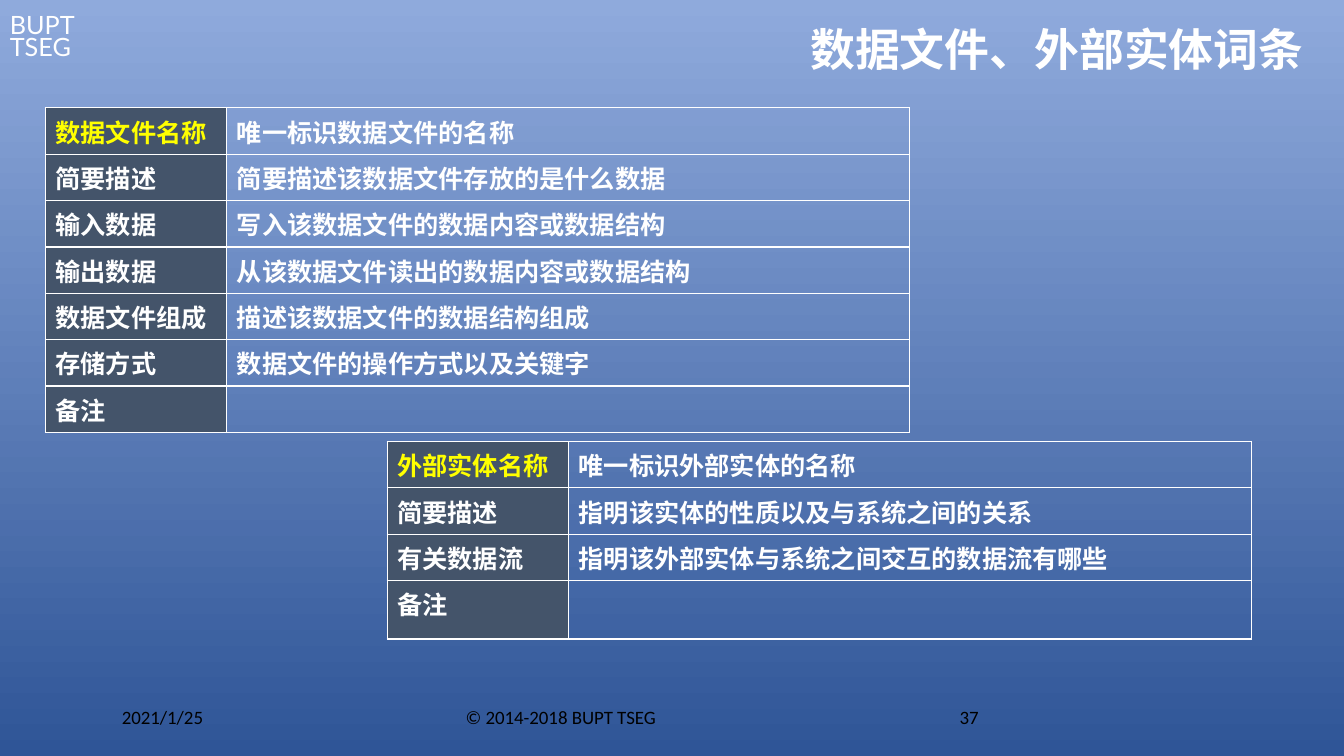
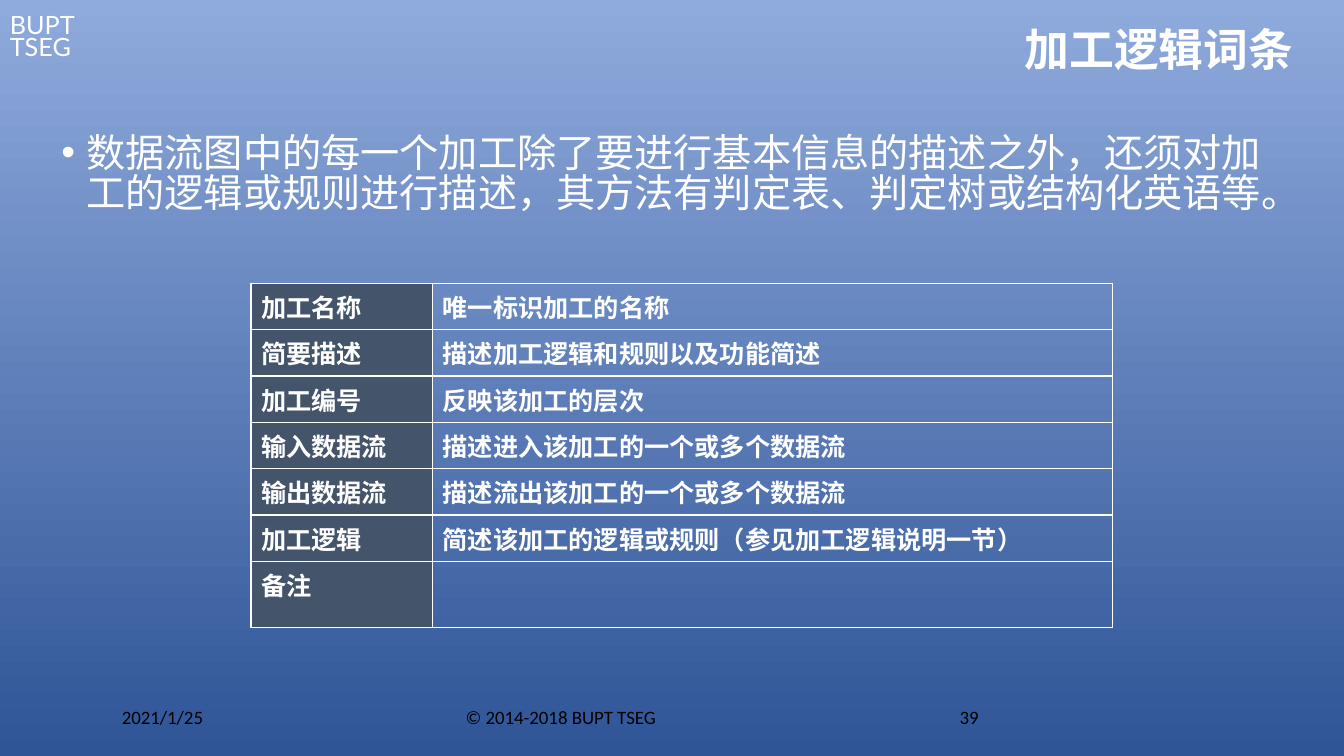
import dataclasses

import lxml.etree
import pptx
import pptx.dml.color
import pptx.enum.text
import pptx.oxml.ns
import pptx.util

Inches = pptx.util.Inches
ALIGN = pptx.enum.text.PP_ALIGN
ANCHOR = pptx.enum.text.MSO_ANCHOR


@dataclasses.dataclass(frozen=True)
class Theme:
    background_top: str = "8FAADC"
    background_bottom: str = "2F5597"
    label_fill: str = "44546A"
    light: str = "FFFFFF"
    highlight: str = "FFFF00"
    dark: str = "000000"
    text_font: str = "Noto Sans CJK SC"
    brand_font: str = "Lato"
    footer_font: str = "Calibri"
    title_size: float = 32
    body_size: float = 28
    table_size: float = 18
    brand_size: float = 18
    footer_size: float = 13.5
    border_width: float = 1
    row_height: float = 0.46


THEME = Theme()

FILE_ROWS = [
    ("数据文件名称", "唯一标识数据文件的名称"),
    ("简要描述", "简要描述该数据文件存放的是什么数据"),
    ("输入数据", "写入该数据文件的数据内容或数据结构"),
    ("输出数据", "从该数据文件读出的数据内容或数据结构"),
    ("数据文件组成", "描述该数据文件的数据结构组成"),
    ("存储方式", "数据文件的操作方式以及关键字"),
    ("备注", ""),
]
ENTITY_ROWS = [
    ("外部实体名称", "唯一标识外部实体的名称"),
    ("简要描述", "指明该实体的性质以及与系统之间的关系"),
    ("有关数据流", "指明该外部实体与系统之间交互的数据流有哪些"),
    ("备注", ""),
]
PROCESS_ROWS = [
    ("加工名称", "唯一标识加工的名称"),
    ("简要描述", "描述加工逻辑和规则以及功能简述"),
    ("加工编号", "反映该加工的层次"),
    ("输入数据流", "描述进入该加工的一个或多个数据流"),
    ("输出数据流", "描述流出该加工的一个或多个数据流"),
    ("加工逻辑", "简述该加工的逻辑或规则（参见加工逻辑说明一节）"),
    ("备注", ""),
]
BODY_TEXT = (
    "数据流图中的每一个加工除了要进行基本信息的描述之外，还须对加工的逻辑或规则进行描述，"
    "其方法有判定表、判定树或结构化英语等。"
)


def rgb(color):
    return pptx.dml.color.RGBColor.from_string(color)


def add_element(parent, tag, **attributes):
    element = lxml.etree.SubElement(parent, pptx.oxml.ns.qn(tag))
    for name, value in attributes.items():
        element.set(name, str(value))
    return element


def write_text(text_frame, text, *, size, font=THEME.text_font, color=THEME.light,
               bold=False, align=ALIGN.LEFT, line_spacing=None, bullet_indent=None):
    paragraph = text_frame.paragraphs[0]
    paragraph.alignment = align
    if line_spacing:
        paragraph.line_spacing = line_spacing
    if bullet_indent:
        properties = paragraph._p.get_or_add_pPr()
        properties.set("marL", str(Inches(bullet_indent)))
        properties.set("indent", str(-Inches(bullet_indent)))
        add_element(properties, "a:buFont", typeface="Arial")
        add_element(properties, "a:buChar", char="•")
    run = paragraph.add_run()
    run.text = text
    run.font.size = pptx.util.Pt(size)
    run.font.bold = bold
    run.font.color.rgb = rgb(color)
    run.font.name = font
    add_element(run._r.get_or_add_rPr(), "a:ea", typeface=font)


def add_text(slide, left, top, width, height, text, *, anchor=ANCHOR.TOP, **text_format):
    text_frame = slide.shapes.add_textbox(
        Inches(left), Inches(top), Inches(width), Inches(height)).text_frame
    text_frame.word_wrap = True
    text_frame.vertical_anchor = anchor
    write_text(text_frame, text, **text_format)


def draw_borders(cell):
    properties = cell._tc.get_or_add_tcPr()
    for side in ("a:lnL", "a:lnR", "a:lnT", "a:lnB"):
        line = add_element(properties, side, w=pptx.util.Pt(THEME.border_width))
        add_element(add_element(line, "a:solidFill"), "a:srgbClr", val=THEME.light)


def add_entry_table(slide, left, top, column_widths, rows, *,
                    last_height=THEME.row_height, name_color=THEME.light):
    heights = [THEME.row_height] * (len(rows) - 1) + [last_height]
    table = slide.shapes.add_table(
        len(rows), len(column_widths), Inches(left), Inches(top),
        Inches(sum(column_widths)), Inches(sum(heights))).table
    table.first_row = False
    table.horz_banding = False
    for column, width in zip(table.columns, column_widths):
        column.width = Inches(width)
    for row_index, (row, height, texts) in enumerate(zip(table.rows, heights, rows)):
        row.height = Inches(height)
        for column_index, (cell, text) in enumerate(zip(row.cells, texts)):
            is_label = column_index == 0
            draw_borders(cell)
            if is_label:
                cell.fill.solid()
                cell.fill.fore_color.rgb = rgb(THEME.label_fill)
            else:
                cell.fill.background()
            if text:
                color = name_color if is_label and row_index == 0 else THEME.light
                write_text(cell.text_frame, text, size=THEME.table_size,
                           color=color, bold=True)


def add_base_slide(presentation, title, number):
    slide = presentation.slides.add_slide(presentation.slide_layouts[6])
    fill = slide.background.fill
    fill.gradient()
    fill.gradient_angle = 270
    colors = (THEME.background_top, THEME.background_bottom)
    for position, (stop, color) in enumerate(zip(fill.gradient_stops, colors)):
        stop.position = position
        stop.color.rgb = rgb(color)
    add_text(slide, 0, 0.11, 1.39, 0.57, "BUPT TSEG", size=THEME.brand_size,
             font=THEME.brand_font, line_spacing=0.75)
    add_text(slide, 1.73, 0.16, 11.3, 0.71, title, size=THEME.title_size, bold=True,
             align=ALIGN.RIGHT, anchor=ANCHOR.MIDDLE, line_spacing=0.9)
    footers = ((1.11, 3, "2021/1/25"), (4.52, 4.5, "© 2014-2018 BUPT TSEG"),
               (9.42, 3, str(number)))
    for left, width, text in footers:
        add_text(slide, left, 6.95, width, 0.4, text, size=THEME.footer_size,
                 font=THEME.footer_font, color=THEME.dark)
    return slide


def add_file_and_entity_slide(presentation):
    slide = add_base_slide(presentation, "数据文件、外部实体词条", 37)
    add_entry_table(slide, 0.45, 1.07, (1.8, 6.77), FILE_ROWS,
                    name_color=THEME.highlight)
    add_entry_table(slide, 3.84, 4.38, (1.8, 6.77), ENTITY_ROWS,
                    last_height=0.58, name_color=THEME.highlight)


def add_process_slide(presentation):
    slide = add_base_slide(presentation, "加工逻辑词条 ", 39)
    add_text(slide, 0.51, 1.3, 12.3, 1.2, BODY_TEXT, size=THEME.body_size,
             line_spacing=0.85, bullet_indent=0.25)
    add_entry_table(slide, 2.49, 2.81, (1.8, 6.74), PROCESS_ROWS, last_height=0.66)


def main():
    presentation = pptx.Presentation()
    presentation.slide_width = Inches(13.33)
    presentation.slide_height = Inches(7.5)
    add_file_and_entity_slide(presentation)
    add_process_slide(presentation)
    presentation.save("out.pptx")


if __name__ == "__main__":
    main()
